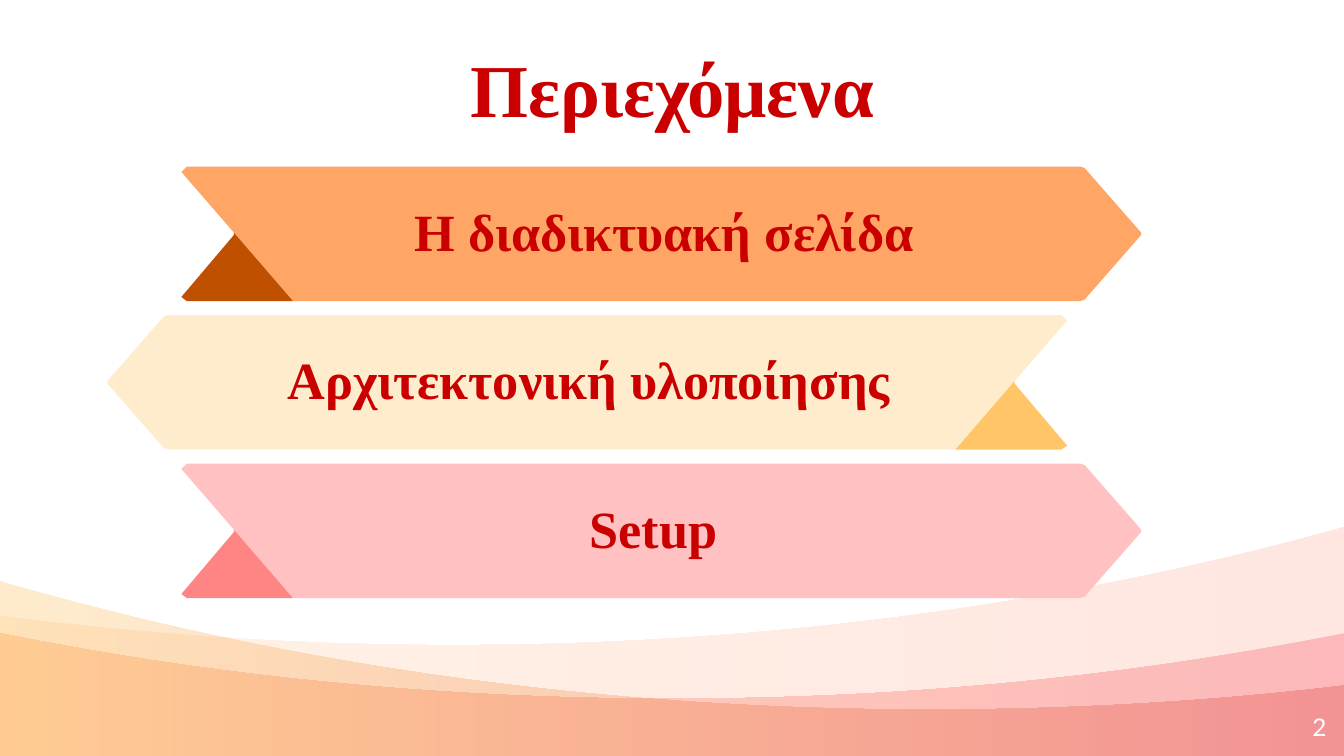
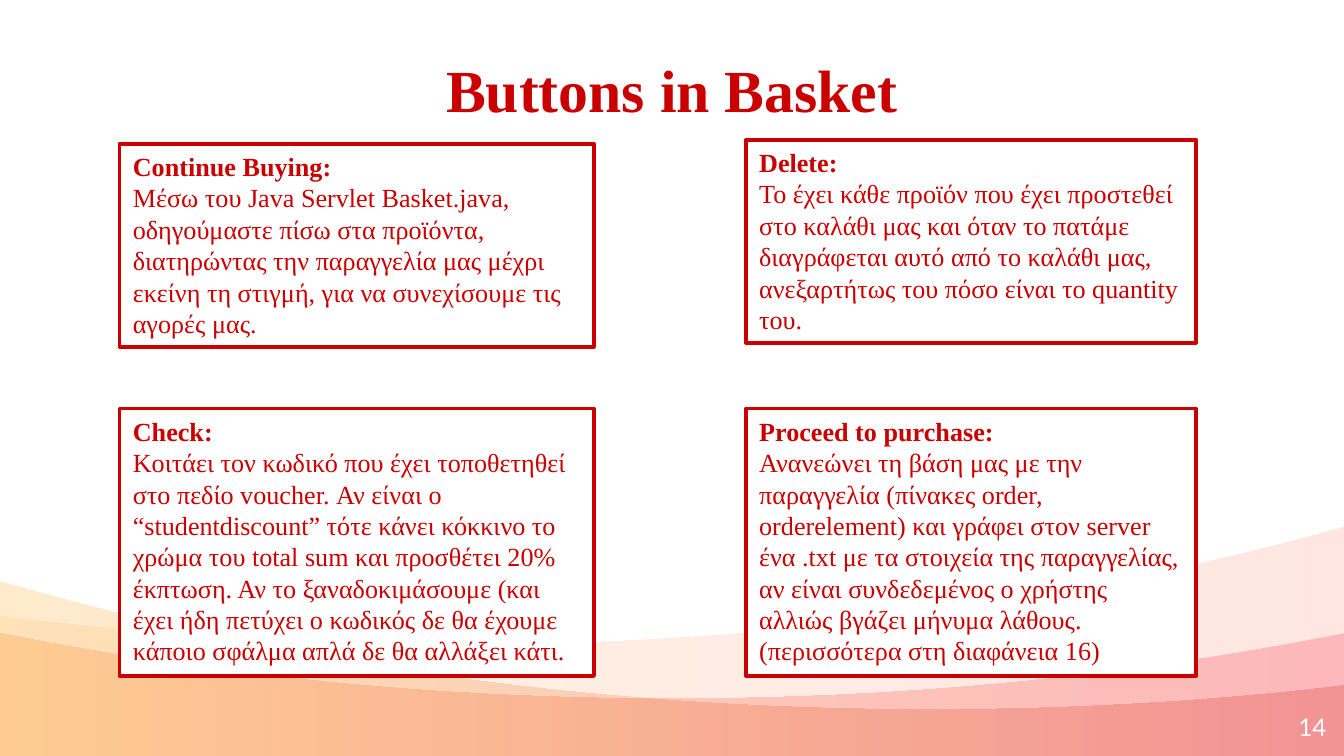
from lxml.etree import SubElement
from pptx import Presentation
from pptx.dml.color import RGBColor
from pptx.enum.shapes import MSO_SHAPE
from pptx.enum.text import MSO_ANCHOR, MSO_AUTO_SIZE, PP_ALIGN
from pptx.oxml.ns import qn
from pptx.util import Inches, Pt

RED = RGBColor(0xCA, 0x00, 0x00)
WHITE = RGBColor(0xFF, 0xFF, 0xFF)
ORANGE = RGBColor(0xFF, 0xA6, 0x66)
BROWN = RGBColor(0xBF, 0x50, 0x00)
CREAM = RGBColor(0xFF, 0xEC, 0xCC)
AMBER = RGBColor(0xFF, 0xC5, 0x66)
PINK = RGBColor(0xFF, 0xC1, 0xC1)
CORAL = RGBColor(0xFF, 0x84, 0x84)
SERIF = "Times New Roman"
SANS = "Lato"

WIDTH, HEIGHT = 10, 5.625
WAVE_OPACITY = "20000"
WAVES = [
    ([(10.01, 3.92), (7.98, 4.49), (5.73, 4.8), (3.37, 4.8),
      (2.21, 4.8), (1.08, 4.72), (-0.01, 4.58)],
     0, RGBColor(0xFF, 0xC4, 0x86), RGBColor(0xFF, 0x86, 0x6B)),
    ([(10.01, 4.71), (8.43, 5.03), (6.75, 5.2), (5, 5.2),
      (3.25, 5.2), (1.56, 5.03), (-0.01, 4.71)],
     180, RGBColor(0xF2, 0x01, 0x22), RGBColor(0xFF, 0x6A, 0x00)),
    ([(10.01, 5.1), (9.01, 5.22), (7.97, 5.28), (6.92, 5.28),
      (4.44, 5.28), (2.09, 4.94), (-0.01, 4.32)],
     0, RGBColor(0xFF, 0x9F, 0x00), RGBColor(0xCC, 0x00, 0x00)),
]

RIBBON_WIDTH = 7.15
BAND = [(6.7, 1), (6.73, 0.99), (7.15, 0.51), (7.15, 0.49), (6.73, 0.01),
        (6.7, 0), (0.05, 0), (0.01, 0.04), (0.4, 0.49), (0.84, 1)]
FOLD = [(0.4, 0.51), (0.01, 0.97), (0.05, 1), (0.84, 1), (0.4, 0.49)]
RIBBONS = [
    ("Η διαδικτυακή σελίδα", 1.34, False, ORANGE, BROWN, 2.07, 5.74),
    ("Αρχιτεκτονική υλοποίησης", 0.8, True, CREAM, AMBER, 1.15, 6.46),
    ("Setup ", 1.34, False, PINK, CORAL, 2.04, 5.74),
]

CARDS = [
    ((0.89, 1.07, 3.53, 1.51), "Continue Buying:",
     "Μέσω του Java Servlet Basket.java, οδηγούμαστε πίσω στα προϊόντα, "
     "διατηρώντας την παραγγελία μας μέχρι εκείνη τη στιγμή, για να "
     "συνεχίσουμε τις αγορές μας."),
    ((5.55, 1.04, 3.35, 1.51), "Delete:",
     "To έχει κάθε προϊόν που έχει προστεθεί στο καλάθι μας και όταν το "
     "πατάμε διαγράφεται αυτό από το καλάθι μας, ανεξαρτήτως του πόσο "
     "είναι το quantity του."),
    ((0.89, 3.04, 3.53, 1.99), "Check:",
     "Κοιτάει τον κωδικό που έχει τοποθετηθεί στο πεδίο voucher. Αν είναι ο "
     "“studentdiscount” τότε κάνει κόκκινο το χρώμα του total sum και "
     "προσθέτει 20% έκπτωση. Αν το ξαναδοκιμάσουμε (και έχει ήδη πετύχει ο "
     "κωδικός δε θα έχουμε κάποιο σφάλμα απλά δε θα αλλάξει κάτι."),
    ((5.55, 3.04, 3.35, 1.99), "Proceed to purchase:",
     "Ανανεώνει τη βάση μας με την παραγγελία (πίνακες order, orderelement) "
     "και γράφει στον server ένα .txt με τα στοιχεία της παραγγελίας, αν "
     "είναι συνδεδεμένος ο χρήστης αλλιώς βγάζει μήνυμα λάθους. "
     "(περισσότερα στη διαφάνεια 16)"),
]


def write(shape, text, size, align, color=RED, font=SERIF, bold=True):
    frame = shape.text_frame
    frame.text = text
    frame.word_wrap = True
    frame.vertical_anchor = MSO_ANCHOR.TOP
    frame.auto_size = MSO_AUTO_SIZE.SHAPE_TO_FIT_TEXT
    for para in frame.paragraphs:
        para.alignment = align
        for span in para.runs:
            span.font.size = Pt(size)
            span.font.name = font
            span.font.bold = bold
            span.font.color.rgb = color
    return frame


def add_outline(shapes, points):
    corners = [(Inches(x), Inches(y)) for x, y in points]
    builder = shapes.build_freeform(*corners[0])
    builder.add_line_segments(corners[1:], close=True)
    shape = builder.convert_to_shape()
    shape.shadow.inherit = False
    shape.line.fill.background()
    return shape


def bend(shape, curves):
    outline = next(shape.element.iter(qn("a:path")))
    lines = outline.findall(qn("a:lnTo"))
    for first in range(0, curves * 3, 3):
        curve = SubElement(outline, qn("a:cubicBezTo"))
        lines[first].addprevious(curve)
        for line in lines[first:first + 3]:
            curve.append(line[0])
            outline.remove(line)


def add_waves(page):
    group = page.shapes.add_group_shape()
    for knots, angle, start, end in WAVES:
        floor = [(knots[-1][0], HEIGHT), (knots[0][0], HEIGHT)]
        wave = add_outline(group.shapes, knots + floor)
        bend(wave, 2)
        wave.fill.gradient()
        wave.fill.gradient_angle = angle
        for stop, color in zip(wave.fill.gradient_stops, (start, end)):
            stop.color.rgb = color
        for color in wave.element.spPr.iter(qn("a:srgbClr")):
            SubElement(color, qn("a:alpha")).set("val", WAVE_OPACITY)
    page.slide_layout.shapes.element.append(group.element)


def add_text(page, box, text, size, align, **style):
    shape = page.shapes.add_textbox(*map(Inches, box))
    return write(shape, text, size, align, **style)


def add_page(deck, title, title_size, title_box, number):
    page = deck.slides.add_slide(deck.slide_layouts[5])
    heading = page.shapes.title
    heading.left, heading.top, heading.width, heading.height = map(Inches, title_box)
    write(heading, title, title_size, PP_ALIGN.CENTER)
    frame = add_text(page, (9.27, 5.19, 0.6, 0.43), number, 13, PP_ALIGN.RIGHT,
                     color=WHITE, font=SANS, bold=False)
    frame.auto_size = MSO_AUTO_SIZE.NONE
    frame.vertical_anchor = MSO_ANCHOR.MIDDLE
    frame.margin_left = frame.margin_right = frame.margin_top = frame.margin_bottom = 0
    return page


def add_ribbon(shapes, left, top, mirrored, band_color, fold_color):
    for outline, color in ((BAND, band_color), (FOLD, fold_color)):
        points = [(left + (RIBBON_WIDTH - x if mirrored else x), top + y)
                  for x, y in outline]
        part = add_outline(shapes, points)
        part.fill.solid()
        part.fill.fore_color.rgb = color


def add_contents(page, first_top, last_top):
    step = (last_top - first_top) / (len(RIBBONS) - 1)
    group = page.shapes.add_group_shape()
    for row, (label, left, mirrored, band, fold, text_left, text_width) in enumerate(RIBBONS):
        top = first_top + row * step
        add_ribbon(group.shapes, left, top, mirrored, band, fold)
        add_text(page, (text_left, top + 0.19, text_width, 0.57), label, 28,
                 PP_ALIGN.CENTER)


def add_card(page, box, heading, body):
    card = page.shapes.add_shape(MSO_SHAPE.RECTANGLE, *map(Inches, box))
    card.shadow.inherit = False
    card.fill.solid()
    card.fill.fore_color.rgb = WHITE
    card.line.color.rgb = RED
    card.line.width = Pt(2)
    frame = write(card, f"{heading}\n{body}", 14, PP_ALIGN.LEFT)
    frame.paragraphs[1].runs[0].font.bold = False


def main():
    deck = Presentation()
    deck.slide_width, deck.slide_height = Inches(WIDTH), Inches(HEIGHT)

    contents = add_page(deck, "Περιεχόμενα", 40, (0, 0.27, WIDTH, 0.77), "2")
    add_waves(contents)
    add_contents(contents, 1.24, 3.45)

    buttons = add_page(deck, "Buttons in Basket", 32, (0, 0.34, WIDTH, 0.64), "14")
    for box, heading, body in CARDS:
        add_card(buttons, box, heading, body)

    deck.save("out.pptx")


if __name__ == "__main__":
    main()
